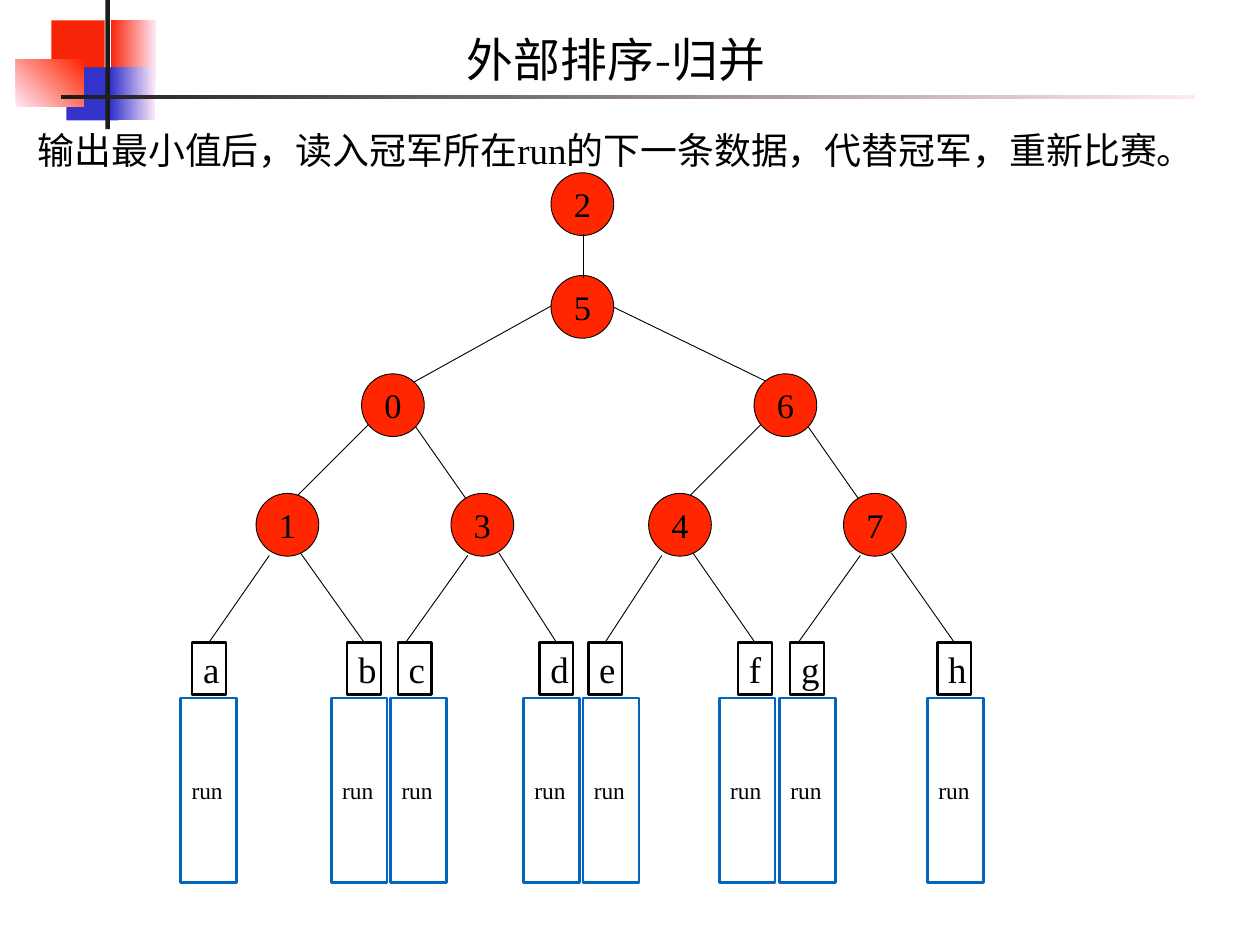
from lxml.etree import SubElement
from pptx import Presentation
from pptx.dml.color import RGBColor
from pptx.enum.shapes import MSO_CONNECTOR, MSO_SHAPE
from pptx.enum.text import MSO_ANCHOR, MSO_AUTO_SIZE, PP_ALIGN
from pptx.oxml.ns import qn
from pptx.util import Pt

COLORS = {
    "black": "000000", "white": "FFFFFF", "node": "FF2600", "run": "0365C0",
    "red": "F82408", "blue": "3333CC", "pink": "FEE8F7", "dark": "1C1C1C",
}
SERIF = "Times New Roman"
INSET = 4.5
INDENT = 4.3
NODE_SIZE = 51
SUBTREE_OFFSET = 319
PAIR_OFFSET = 161.3
LETTER_TOP = 522
LETTER_WIDTH = 27.4
JOIN_TOLERANCE = 5

DECORATIONS = [
    ((90, 16.6, 36.7, 53.3), ("red", "pink"), 0),
    ((41.8, 16.6, 43.2, 43.2), ("red",), 0),
    ((54, 54.7, 41.8, 43.2), ("blue",), 0),
    ((90, 54.7, 36, 43.2), ("blue", "pink"), 0),
    ((13, 48.2, 54.7, 38.2), ("pink", "node"), 45),
    ((85.7, -0.7, 3.6, 105.8), ("dark",), 0),
    ((49.7, 77, 921.6, 3.6), ("dark", "pink"), 0),
]
LEAVES = [
    ("a", 156.2, 146.9), ("b", 282.2, 269.3), ("c", 323.3, 317.5), ("d", 438.5, 425.5),
    ("e", 478.1, 473.8), ("f", 599.8, 584.6), ("g", 642.2, 633.6), ("h", 761.8, 753.8),
]
SUBTREES = [("0", "1", "3"), ("6", "4", "7")]


def color(name):
    """Return the named colour."""
    return RGBColor.from_string(COLORS[name])


def write_text(shape, text, size, font=SERIF, align=PP_ALIGN.LEFT, indent=INDENT, inset=INSET):
    """Put one formatted, vertically centred paragraph in a shape."""
    frame = shape.text_frame
    frame.text = text
    frame.word_wrap = True
    frame.auto_size = MSO_AUTO_SIZE.NONE
    frame.vertical_anchor = MSO_ANCHOR.MIDDLE
    frame.margin_left = frame.margin_right = Pt(inset)
    frame.margin_top = frame.margin_bottom = Pt(inset)
    paragraph = frame.paragraphs[0]
    paragraph.alignment = align
    paragraph.space_before = Pt(0)
    properties = paragraph._p.get_or_add_pPr()
    properties.set("marL", "0")
    properties.set("indent", str(Pt(indent)))
    run_font = paragraph.runs[0].font
    run_font.name, run_font.size = font, Pt(size)
    run_font.color.rgb = color("black")
    return paragraph


def place(shape, left, top, width, height):
    """Move and resize a placeholder and bring it to the front."""
    shape.left, shape.top, shape.width, shape.height = map(Pt, (left, top, width, height))
    shape.element.getparent().append(shape.element)


def add_box(slide, kind, box, fill=None, line=None, line_width=2):
    """Add a preset shape with an optional solid fill and outline."""
    shape = slide.shapes.add_shape(kind, *map(Pt, box))
    shape.shadow.inherit = False
    if fill:
        shape.fill.solid()
        shape.fill.fore_color.rgb = color(fill)
    else:
        shape.fill.background()
    if line:
        shape.line.color.rgb = color(line)
        shape.line.width = Pt(line_width)
    else:
        shape.line.fill.background()
    return shape


def add_decoration(slide, box, fills, angle):
    """Add a rectangle with a solid or a two-colour gradient fill."""
    shape = add_box(slide, MSO_SHAPE.RECTANGLE, box, fills[0])
    if len(fills) == 2:
        shape.fill.gradient()
        shape.fill.gradient_angle = angle
        for stop, name in zip(shape.fill.gradient_stops, fills):
            stop.color.rgb = color(name)


def add_node(slide, text, left, top):
    """Add a numbered tree node."""
    box = (left, top, NODE_SIZE, NODE_SIZE)
    shape = add_box(slide, MSO_SHAPE.OVAL, box, "node", "black", 0.75)
    write_text(shape, text, 28, align=PP_ALIGN.CENTER, indent=0, inset=0)


def add_edge(slide, start, end, leaf=None):
    """Add a tree edge, joined to the leaf when it ends at its middle."""
    edge = slide.shapes.add_connector(MSO_CONNECTOR.STRAIGHT, *map(Pt, start + end))
    edge.line.color.rgb = color("black")
    edge.line.width = Pt(0.75)
    SubElement(edge.element.spPr, qn("a:effectLst"))
    if leaf is not None:
        middle = leaf.left + leaf.width / 2
        if abs(middle - Pt(end[0])) <= Pt(JOIN_TOLERANCE):
            edge.end_connect(leaf, 0)


def add_leaf(slide, letter, letter_left, run_left):
    """Add a run and the lettered box above it, and return that box."""
    run_box = (run_left, 567.4, 45.4, 149.8)
    run = add_box(slide, MSO_SHAPE.RECTANGLE, run_box, "white", "run")
    write_text(run, "run", 19)
    letter_box = (letter_left, LETTER_TOP, LETTER_WIDTH, 42.5)
    leaf = add_box(slide, MSO_SHAPE.RECTANGLE, letter_box, line="black")
    write_text(leaf, letter, 30)
    return leaf


def add_subtree(slide, labels, leaves, offset):
    """Add a three-node subtree with the edges to its four leaves."""
    add_edge(slide, (303.1 + offset, 341.3), (241.2 + offset, 403.2))
    add_edge(slide, (331.9 + offset, 338.4), (388.8 + offset, 419.8))
    for pair in range(2):
        shift = offset + pair * PAIR_OFFSET
        left_leaf, right_leaf = leaves[2 * pair:2 * pair + 2]
        add_edge(slide, (218.9 + shift, 451.4), (168.5 + shift, LETTER_TOP), left_leaf)
        add_edge(slide, (244.1 + shift, 449.3), (294.5 + shift, 524.2), right_leaf)
    for label, left, top in zip(labels, (293.8, 208.1, 366.5), (303.8, 401, 401)):
        add_node(slide, label, left + offset, top)


def add_tree(slide):
    """Add the whole loser tree."""
    leaves = [add_leaf(slide, *leaf) for leaf in LEAVES]
    add_edge(slide, (460.1, 241.9), (334.1, 311.8))
    add_edge(slide, (499, 249.8), (622.1, 309.6))
    for index, labels in enumerate(SUBTREES):
        add_subtree(slide, labels, leaves[4 * index:4 * index + 4], index * SUBTREE_OFFSET)
    add_node(slide, "5", 447.8, 223.9)
    add_node(slide, "2", 447.8, 140.4)
    add_edge(slide, (473.8, 190.1), (473.8, 226.1))


def main():
    """Build the slide and save it."""
    presentation = Presentation()
    presentation.slide_width, presentation.slide_height = Pt(1024), Pt(768)
    slide = presentation.slides.add_slide(presentation.slide_layouts[1])
    for decoration in DECORATIONS:
        add_decoration(slide, *decoration)

    title, body = slide.placeholders
    place(title, 126.7, 15.8, 743.8, 63.4)
    write_text(title, "外部排序-归并", 38, "Montserrat", PP_ALIGN.CENTER)
    place(body, 21.6, 93.6, 953.3, 49.7)
    paragraph = write_text(body, "输出最小值后，读入冠军所在run的下一条数据，代替冠军，重新比赛。", 30)
    SubElement(paragraph._p.get_or_add_pPr(), qn("a:buNone"))
    paragraph.line_spacing = 1.2

    add_tree(slide)
    presentation.save("out.pptx")


if __name__ == "__main__":
    main()
